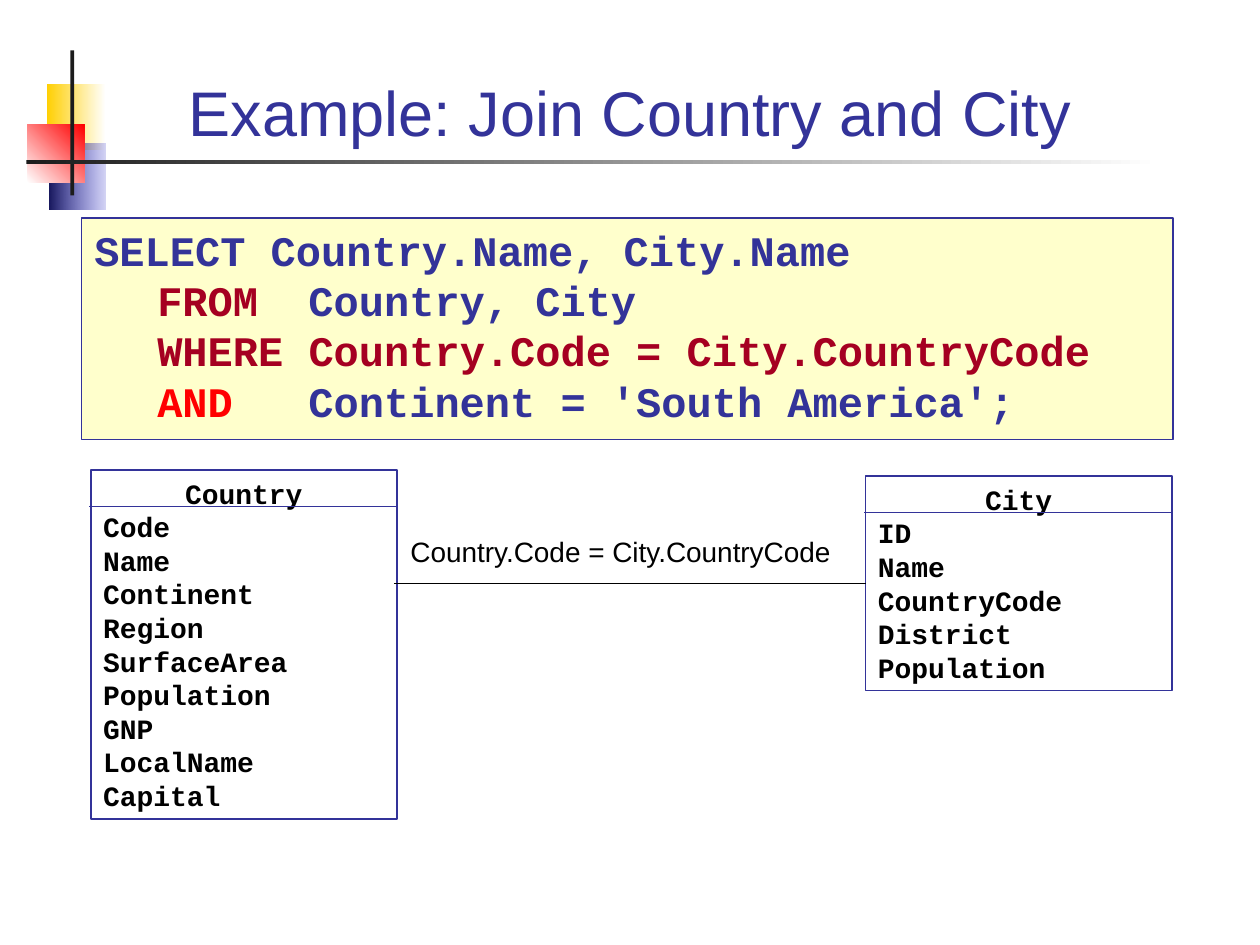
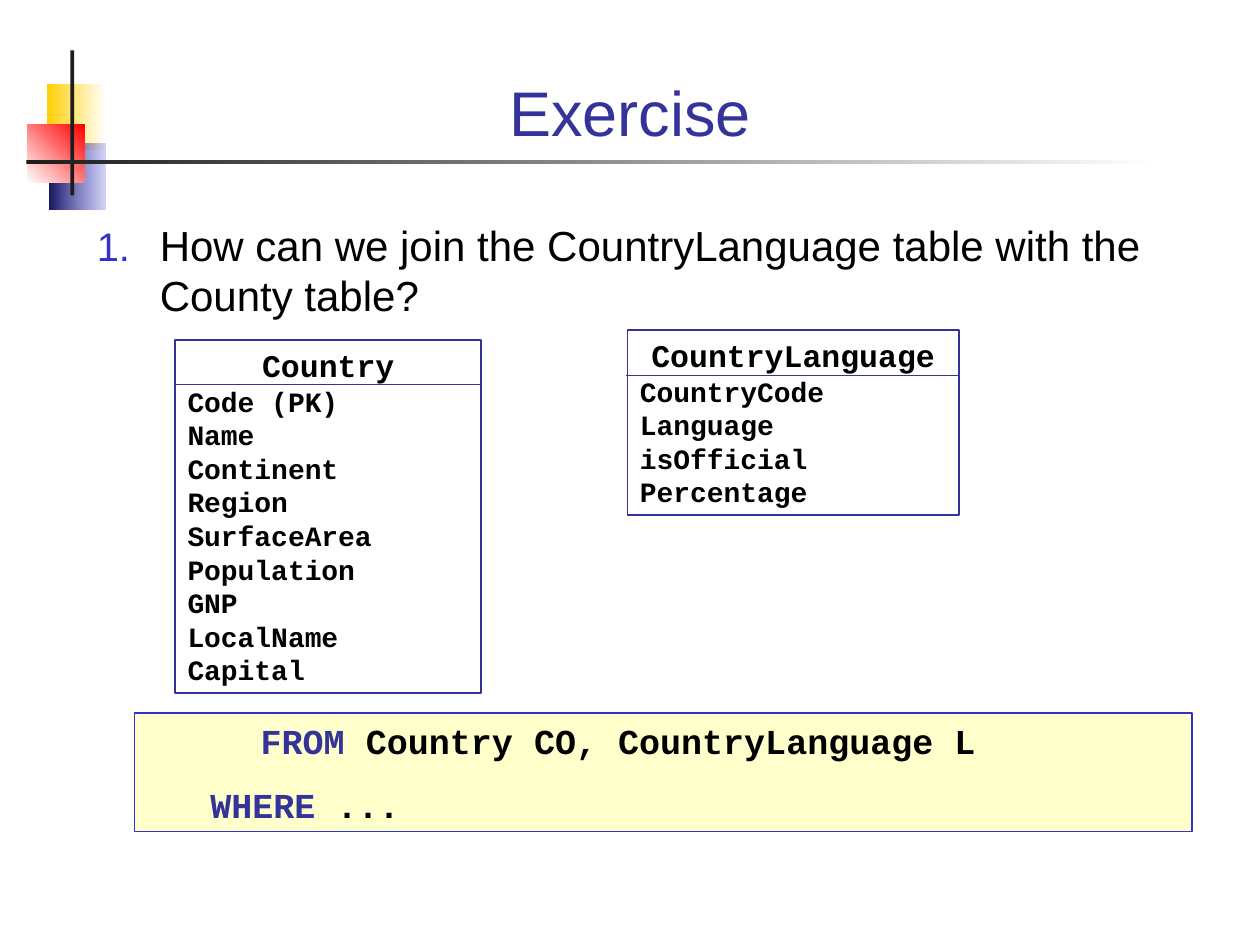
"""Build two slides on joining database tables, laid out on a 100 by 75 cell grid."""
import pptx
import pptx.dml.color
import pptx.enum.shapes
import pptx.enum.text
import pptx.oxml.ns
import pptx.util
from lxml import etree

RGBColor = pptx.dml.color.RGBColor
Pt = pptx.util.Pt
RECTANGLE = pptx.enum.shapes.MSO_SHAPE.RECTANGLE
STRAIGHT = pptx.enum.shapes.MSO_CONNECTOR.STRAIGHT
ALIGN = pptx.enum.text.PP_ALIGN
ANCHOR = pptx.enum.text.MSO_ANCHOR

INDIGO = RGBColor(0x33, 0x33, 0x99)
BLUE = RGBColor(0x33, 0x33, 0xCC)
NAVY = RGBColor(0x18, 0x18, 0x5E)
CRIMSON = RGBColor(0xA5, 0x00, 0x21)
RED = RGBColor(0xFF, 0x00, 0x00)
GOLD = RGBColor(0xFF, 0xCF, 0x01)
CREAM = RGBColor(0xFF, 0xFF, 0xCC)
CHARCOAL = RGBColor(0x1C, 0x1C, 0x1C)
BLACK = RGBColor(0x00, 0x00, 0x00)
WHITE = RGBColor(0xFF, 0xFF, 0xFF)

SANS, MONO, WIDE_MONO = "Arial", "Courier New", "Noto Sans Mono"
COLUMNS, ROWS = 100, 75
CELL = pptx.util.Inches(0.1)
INDENT = 5 * CELL

DECORATION = [
    ((3.7, 6.7, 4.7, 5.2), GOLD, WHITE, 0, 100),
    ((3.9, 11.4, 4.5, 5.2), NAVY, BLUE, 0, 20),
    ((2.2, 9.9, 4.5, 4.6), WHITE, RED, 45, 100),
    ((5.6, 4, 0.3, 11.5), CHARCOAL, CHARCOAL, 0, 100),
    ((2.1, 12.7, 90, 0.3), CHARCOAL, WHITE, 0, 100),
]
TITLE_BOX = (6.7, 2.8, 86.6, 9.5)

COUNTRY_FIELDS = ["Name", "Continent", "Region", "SurfaceArea", "Population",
                  "GNP", "LocalName", "Capital"]

JOIN = {
    "title": "Example: Join Country and City",
    "query_box": (6.5, 17.3, 86.6, 17.6),
    "query": [
        [("SELECT Country.Name, City.Name", INDIGO)],
        [("FROM", CRIMSON), ("  Country, City", INDIGO)],
        [("WHERE Country.Code = City.CountryCode", CRIMSON)],
        [("AND", RED), ("   Continent = 'South America';", INDIGO)],
    ],
    "country": ((7.2, 37.3, 24.3, 27.7), 2.9, 16, "Country", ["Code"] + COUNTRY_FIELDS),
    "city": ((68.7, 37.8, 24.3, 17), 2.9, 16, "City",
             ["ID", "Name", "CountryCode", "District", "Population"]),
    "condition": "Country.Code = City.CountryCode",
    "condition_box": (31.6, 41.9, 35.7, 3.7),
}

EXERCISE = {
    "title": "Exercise",
    "question": "How can we join the CountryLanguage table with the County table?",
    "question_box": (6.7, 16.9, 86.6, 10.3),
    "tables": [
        ((13.9, 27, 24.3, 28), 3.5, 18, "Country", ["Code (PK)"] + COUNTRY_FIELDS),
        ((49.8, 26.2, 26.3, 14.7), 3.6, 18, "CountryLanguage",
         ["CountryCode", "Language", "isOfficial", "Percentage"]),
    ],
    "query_box": (10.7, 56.6, 83.9, 9.4),
    "query": [
        [("      ", BLACK, WIDE_MONO, 18), ("FROM", INDIGO),
         (" Country CO, CountryLanguage L", BLACK)],
        [("   ", BLACK), ("WHERE", INDIGO), (" ...", BLACK)],
    ],
}


def cells(*lengths):
    return [round(length * CELL) for length in lengths]


def add_box(slide, box, fill=None, line=None, width=1):
    shape = slide.shapes.add_shape(RECTANGLE, *cells(*box))
    shape.shadow.inherit = False
    if fill is None:
        shape.fill.background()
    else:
        shape.fill.solid()
        shape.fill.fore_color.rgb = fill
    if line is None:
        shape.line.fill.background()
    else:
        shape.line.color.rgb = line
        shape.line.width = Pt(width)
    shape.text_frame.word_wrap = True
    shape.text_frame.vertical_anchor = ANCHOR.TOP
    return shape


def add_line(slide, left, right, row, color):
    line = slide.shapes.add_connector(STRAIGHT, *cells(left, row, right, row))
    line.line.color.rgb = color
    line.line.width = Pt(0.75)
    etree.SubElement(line._element.spPr, pptx.oxml.ns.qn("a:effectLst"))
    return line


def style(paragraph, name, size, color=None, bold=False, align=ALIGN.LEFT):
    paragraph.alignment = align
    font = paragraph.font
    font.name, font.size, font.bold = name, Pt(size), bold
    if color is not None:
        font.color.rgb = color


def add_text(slide, box, text, size, color, align=ALIGN.LEFT, anchor=ANCHOR.TOP, wrap=True):
    frame = slide.shapes.add_textbox(*cells(*box)).text_frame
    frame.word_wrap = wrap
    frame.vertical_anchor = anchor
    paragraph = frame.paragraphs[0]
    paragraph.text = text
    style(paragraph, SANS, size, color, align=align)
    return paragraph


def add_spans(paragraph, spans):
    for text, color, *special in spans:
        run = paragraph.add_run()
        run.text = text
        run.font.color.rgb = color
        if special:
            run.font.name, run.font.size, run.font.bold = special[0], Pt(special[1]), False


def set_indent(paragraph):
    properties = paragraph._p.get_or_add_pPr()
    properties.set("marL", str(INDENT))
    properties.set("indent", str(-INDENT))
    return properties


def number(paragraph, color):
    properties = set_indent(paragraph)
    font_defaults = properties.find(pptx.oxml.ns.qn("a:defRPr"))
    bullet_color = etree.Element(pptx.oxml.ns.qn("a:buClr"))
    etree.SubElement(bullet_color, pptx.oxml.ns.qn("a:srgbClr"), val=str(color))
    bullet_size = etree.Element(pptx.oxml.ns.qn("a:buSzPct"), val="95000")
    bullet = etree.Element(pptx.oxml.ns.qn("a:buAutoNum"), type="arabicPeriod")
    for element in (bullet_color, bullet_size, bullet):
        font_defaults.addprevious(element)


def add_entity(slide, box, header_height, header_size, name, fields):
    left, top, width, _ = box
    shape = add_box(slide, box, line=INDIGO)
    frame = shape.text_frame
    frame.text = "\n".join([name] + fields)
    header, *rows = frame.paragraphs
    style(header, MONO, header_size, BLACK, bold=True, align=ALIGN.CENTER)
    for row in rows:
        style(row, MONO, 16, BLACK, bold=True)
    add_line(slide, left - 0.1, left + width, top + header_height, INDIGO)
    return shape


def add_frame(presentation, title):
    slide = presentation.slides.add_slide(presentation.slide_layouts[6])
    for box, start, end, angle, opacity in DECORATION:
        shape = add_box(slide, box, fill=start)
        if start == end:
            continue
        shape.fill.gradient()
        shape.fill.gradient_angle = angle
        for stop, color, position in zip(shape.fill.gradient_stops, (start, end), (0, 1)):
            stop.color.rgb = color
            stop.position = position
        if opacity < 100:
            end_color = list(shape._element.spPr.iter(pptx.oxml.ns.qn("a:srgbClr")))[-1]
            etree.SubElement(end_color, pptx.oxml.ns.qn("a:alpha"), val=str(opacity * 1000))
    add_text(slide, TITLE_BOX, title, 36, INDIGO, ALIGN.CENTER, ANCHOR.BOTTOM)
    return slide


def build_join(presentation):
    slide = add_frame(presentation, JOIN["title"])
    query = add_box(slide, JOIN["query_box"], CREAM, INDIGO, 0.75)
    paragraph = query.text_frame.paragraphs[0]
    set_indent(paragraph)
    style(paragraph, MONO, 24, bold=True)
    for index, spans in enumerate(JOIN["query"]):
        if index:
            paragraph.add_line_break()
        add_spans(paragraph, spans)
    for line_break in paragraph._p.findall(pptx.oxml.ns.qn("a:br")):
        etree.SubElement(line_break, pptx.oxml.ns.qn("a:rPr"), sz="2400", b="1")

    add_entity(slide, *JOIN["country"])
    city = add_entity(slide, *JOIN["city"])
    left, top, _, height = JOIN["city"][0]
    country_left, _, country_width, _ = JOIN["country"][0]
    link = add_line(slide, country_left + country_width - 0.2, left, top + height / 2, BLACK)
    link.end_connect(city, 1)
    add_text(slide, JOIN["condition_box"], JOIN["condition"], 16, BLACK, wrap=False)


def build_exercise(presentation):
    slide = add_frame(presentation, EXERCISE["title"])
    question = add_text(slide, EXERCISE["question_box"], EXERCISE["question"], 24, BLACK)
    number(question, BLUE)
    for table in EXERCISE["tables"]:
        add_entity(slide, *table)
    frame = add_box(slide, EXERCISE["query_box"], CREAM, BLUE, 0.75).text_frame
    for index, spans in enumerate(EXERCISE["query"]):
        paragraph = frame.add_paragraph() if index else frame.paragraphs[0]
        if index:
            paragraph.space_before = Pt(12.5)
        style(paragraph, MONO, 20, bold=True)
        add_spans(paragraph, spans)


def main():
    presentation = pptx.Presentation()
    presentation.slide_width, presentation.slide_height = cells(COLUMNS, ROWS)
    build_join(presentation)
    build_exercise(presentation)
    presentation.save("out.pptx")


if __name__ == "__main__":
    main()
